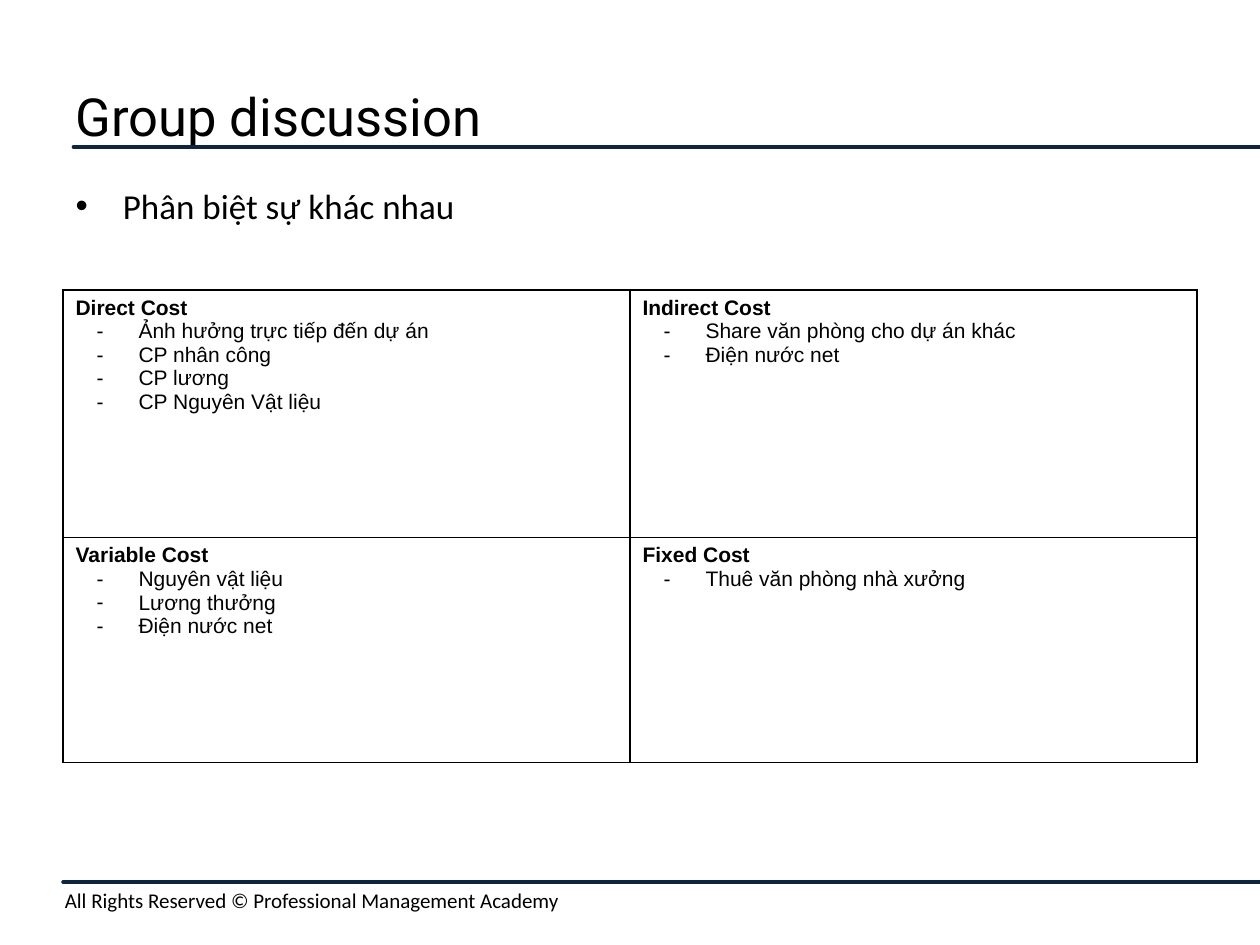
from dataclasses import dataclass

from lxml import etree
from pptx import Presentation
from pptx.dml.color import RGBColor
from pptx.enum import shapes, text
from pptx.oxml import ns
from pptx.util import Pt


@dataclass(frozen=True)
class Theme:
    """Colours, fonts and type sizes of the slide."""
    ink: str = "000000"
    rule: str = "0F243E"
    title: tuple = ("Roboto", 30)
    body: tuple = ("Calibri", 20)
    footer: tuple = ("Calibri", 12)
    cell: tuple = ("Arial", 12)


THEME = Theme()
COSTS = [
    [("Direct Cost", ["Ảnh hưởng trực tiếp đến dự án", "CP nhân công",
                      "CP lương", "CP Nguyên Vật liệu"]),
     ("Indirect Cost", ["Share văn phòng cho dự án khác", "Điện nước net"])],
    [("Variable Cost", ["Nguyên vật liệu", "Lương thưởng", "Điện nước net"]),
     ("Fixed Cost", ["Thuê văn phòng nhà xưởng"])],
]


def set_values(target, values):
    """Set each named attribute on the target."""
    for name, value in values.items():
        setattr(target, name, value)


def add_element(parent, tag, **attributes):
    """Append a drawing element and return it."""
    return etree.SubElement(parent, ns.qn(tag), attributes)


def add_color(parent, color):
    """Append a solid fill of the given colour."""
    add_element(add_element(parent, "a:solidFill"), "a:srgbClr", val=color)


def place(shape, box):
    """Move and size a shape to a box given in points."""
    set_values(shape, dict(zip(("left", "top", "width", "height"), map(Pt, box))))


def format_frame(frame, anchor):
    """Give a text frame the shared insets and wrapping."""
    set_values(frame, {
        "word_wrap": True, "auto_size": text.MSO_AUTO_SIZE.NONE,
        "vertical_anchor": anchor,
        "margin_left": Pt(7.2), "margin_right": Pt(7.2),
        "margin_top": Pt(3.6), "margin_bottom": Pt(3.6)})


def write(paragraph, words, style, bold=False, bullet=None, indent=0, hanging=0):
    """Write one left-aligned paragraph, with a hanging bullet if given."""
    set_values(paragraph, {"alignment": text.PP_ALIGN.LEFT, "space_before": Pt(0)})
    if bullet:
        properties = paragraph._p.get_or_add_pPr()
        properties.set("marL", str(Pt(indent)))
        properties.set("indent", str(-Pt(hanging)))
        add_element(add_element(properties, "a:buClr"), "a:srgbClr", val=THEME.ink)
        add_element(properties, "a:buFont", typeface="Arial")
        add_element(properties, "a:buChar", char=bullet)
    run = paragraph.add_run()
    run.text = words
    name, size = style
    set_values(run.font, {"name": name, "size": Pt(size), "bold": bold})
    run.font.color.rgb = RGBColor.from_string(THEME.ink)


def add_rule(slide, left, top, right):
    """Draw a horizontal rule with round ends."""
    rule = slide.shapes.add_connector(
        shapes.MSO_CONNECTOR.STRAIGHT, Pt(left), Pt(top), Pt(right), Pt(top))
    rule.line.width = Pt(2)
    rule.line.color.rgb = RGBColor.from_string(THEME.rule)
    rule.line._get_or_add_ln().set("cap", "rnd")
    add_element(rule._element.spPr, "a:effectLst")


def add_footer(slide, box):
    """Place the copyright line."""
    footer = slide.shapes.add_textbox(*map(Pt, box))
    format_frame(footer.text_frame, text.MSO_ANCHOR.TOP)
    write(footer.text_frame.paragraphs[0],
          "All Rights Reserved © Professional Management Academy", THEME.footer)


def fill_title(slide, box):
    """Place and fill the title placeholder."""
    title = slide.shapes.title
    place(title, box)
    format_frame(title.text_frame, text.MSO_ANCHOR.MIDDLE)
    write(title.text_frame.paragraphs[0], "Group discussion", THEME.title)


def fill_body(slide, box):
    """Place and fill the body placeholder."""
    body = slide.placeholders[1]
    place(body, box)
    format_frame(body.text_frame, text.MSO_ANCHOR.TOP)
    write(body.text_frame.paragraphs[0], "Phân biệt sự khác nhau", THEME.body,
          bullet="•", indent=27, hanging=27)


def fill_cell(cell, heading, items):
    """Write a bold heading and a dashed list in a bordered cell."""
    properties = cell._tc.get_or_add_tcPr()
    for side in ("a:lnL", "a:lnR", "a:lnT", "a:lnB"):
        add_color(add_element(properties, side, w=str(Pt(1))), THEME.ink)
    cell.fill.background()
    frame = cell.text_frame
    write(frame.paragraphs[0], heading, THEME.cell, bold=True)
    for item in items:
        write(frame.add_paragraph(), item, THEME.cell,
              bullet="-", indent=36, hanging=24)


def add_costs(slide, box, row_heights):
    """Place the table of cost types."""
    table = slide.shapes.add_table(
        len(COSTS), len(COSTS[0]), *map(Pt, box)).table
    set_values(table, {"first_row": False, "horz_banding": False})
    for row, height in zip(table.rows, row_heights):
        row.height = Pt(height)
    for row, costs in zip(table.rows, COSTS):
        for cell, (heading, items) in zip(row.cells, costs):
            fill_cell(cell, heading, items)


def main():
    """Build and save the slide."""
    presentation = Presentation()
    set_values(presentation, {"slide_width": Pt(720), "slide_height": Pt(540)})
    slide = presentation.slides.add_slide(presentation.slide_layouts[1])
    add_rule(slide, 42, 84, 720)
    add_rule(slide, 36, 504, 720)
    add_footer(slide, (30, 503.5, 690, 21.6))
    fill_title(slide, (36, 36, 648, 60))
    fill_body(slide, (36, 102, 648, 380))
    add_costs(slide, (36, 165.6, 648, 270), (141.6, 128.4))
    presentation.save("out.pptx")


if __name__ == "__main__":
    main()
